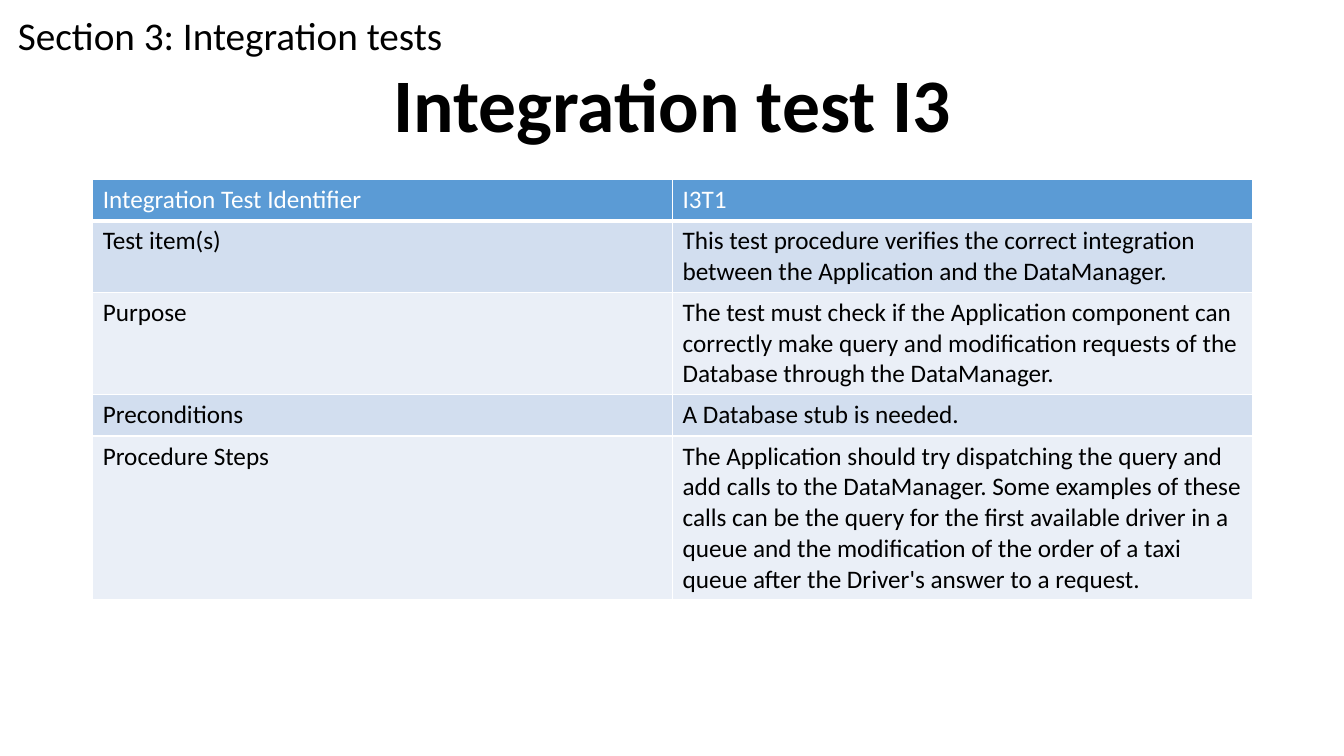
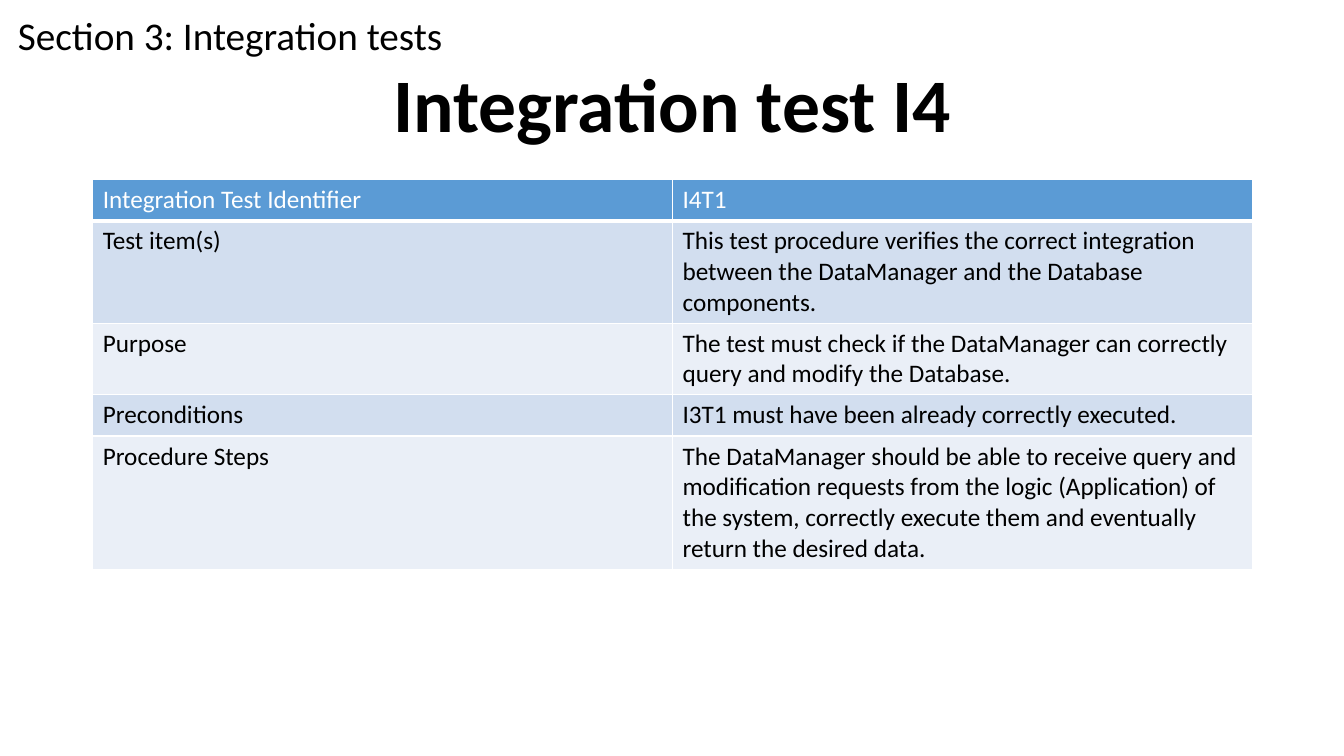
from lxml.etree import SubElement
from pptx import Presentation
from pptx.dml.color import RGBColor
from pptx.enum.text import MSO_ANCHOR, MSO_AUTO_SIZE, PP_ALIGN
from pptx.oxml.ns import qn
from pptx.util import Inches, Pt

FONT = "Calibri"
BLACK = "000000"
WHITE = "FFFFFF"
HEADER_FILL = "5B9BD5"
BAND_FILLS = ["EAEFF7", "D2DEEF"]
SECTION = "Section 3: Integration tests"
ROW_LABELS = ["Integration Test Identifier", "Test item(s)", "Purpose", "Preconditions", "Procedure Steps"]

TESTS = [
    ("Integration test I3", [
        "I3T1",
        "This test procedure verifies the correct integration between the Application and the DataManager.",
        "The test must check if the Application component can correctly make query and modification "
        "requests of the Database through the DataManager.",
        "A Database stub is needed.",
        "The Application should try dispatching the query and add calls to the DataManager. Some examples "
        "of these calls can be the query for the first available driver in a queue and the modification "
        "of the order of a taxi queue after the Driver's answer to a request.",
    ]),
    ("Integration test I4", [
        "I4T1",
        "This test procedure verifies the correct integration between the DataManager and the Database components.",
        "The test must check if the DataManager can correctly query and modify the Database.",
        "I3T1 must have been already correctly executed.",
        "The DataManager should be able to receive query and modification requests from the logic "
        "(Application) of the system, correctly execute them and eventually return the desired data.",
    ]),
]


def color(value):
    return RGBColor.from_string(value)


def add_text(paragraph, text, size, text_color, bold=False):
    run = paragraph.add_run()
    run.text = text
    run.font.name = FONT
    run.font.size = Pt(size)
    run.font.bold = bold
    run.font.color.rgb = color(text_color)


presentation = Presentation()
presentation.slide_width = Inches(13.33)
presentation.slide_height = Inches(7.5)
title_only = presentation.slide_layouts.get_by_name("Title Only")

for title_text, values in TESTS:
    slide = presentation.slides.add_slide(title_only)

    title = slide.shapes.title
    title.left, title.top = Inches(0.92), Inches(0.59)
    title.width, title.height = Inches(11.5), Inches(0.97)
    title.text_frame.auto_size = MSO_AUTO_SIZE.NONE
    title.text_frame.vertical_anchor = MSO_ANCHOR.MIDDLE
    paragraph = title.text_frame.paragraphs[0]
    paragraph.alignment = PP_ALIGN.CENTER
    paragraph.line_spacing = 0.9
    add_text(paragraph, title_text, 54, BLACK, bold=True)

    row_height = Inches(0.41)
    table = slide.shapes.add_table(
        len(ROW_LABELS), 2, Inches(0.92), Inches(1.78), Inches(11.5), row_height * len(ROW_LABELS)
    ).table
    for row, row_texts in enumerate(zip(ROW_LABELS, values)):
        is_header = row == 0
        table.rows[row].height = row_height
        for column, text in enumerate(row_texts):
            cell = table.cell(row, column)
            add_text(cell.text_frame.paragraphs[0], text, 18, WHITE if is_header else BLACK)
            cell_properties = cell._tc.get_or_add_tcPr()
            widths = {"a:lnL": 1, "a:lnR": 1, "a:lnT": 3 if row == 1 else 1, "a:lnB": 3 if is_header else 1}
            for side, width in widths.items():
                border = SubElement(cell_properties, qn(side), w=str(Pt(width)))
                border_fill = SubElement(border, qn("a:solidFill"))
                SubElement(border_fill, qn("a:srgbClr"), val=WHITE)
            cell.fill.solid()
            cell.fill.fore_color.rgb = color(HEADER_FILL if is_header else BAND_FILLS[row % 2])

    section = slide.shapes.add_textbox(Inches(0.08), Inches(0.06), Inches(4.46), Inches(0.57))
    section.text_frame.word_wrap = False
    section.text_frame.auto_size = MSO_AUTO_SIZE.SHAPE_TO_FIT_TEXT
    add_text(section.text_frame.paragraphs[0], SECTION, 28, BLACK)

presentation.save("out.pptx")
